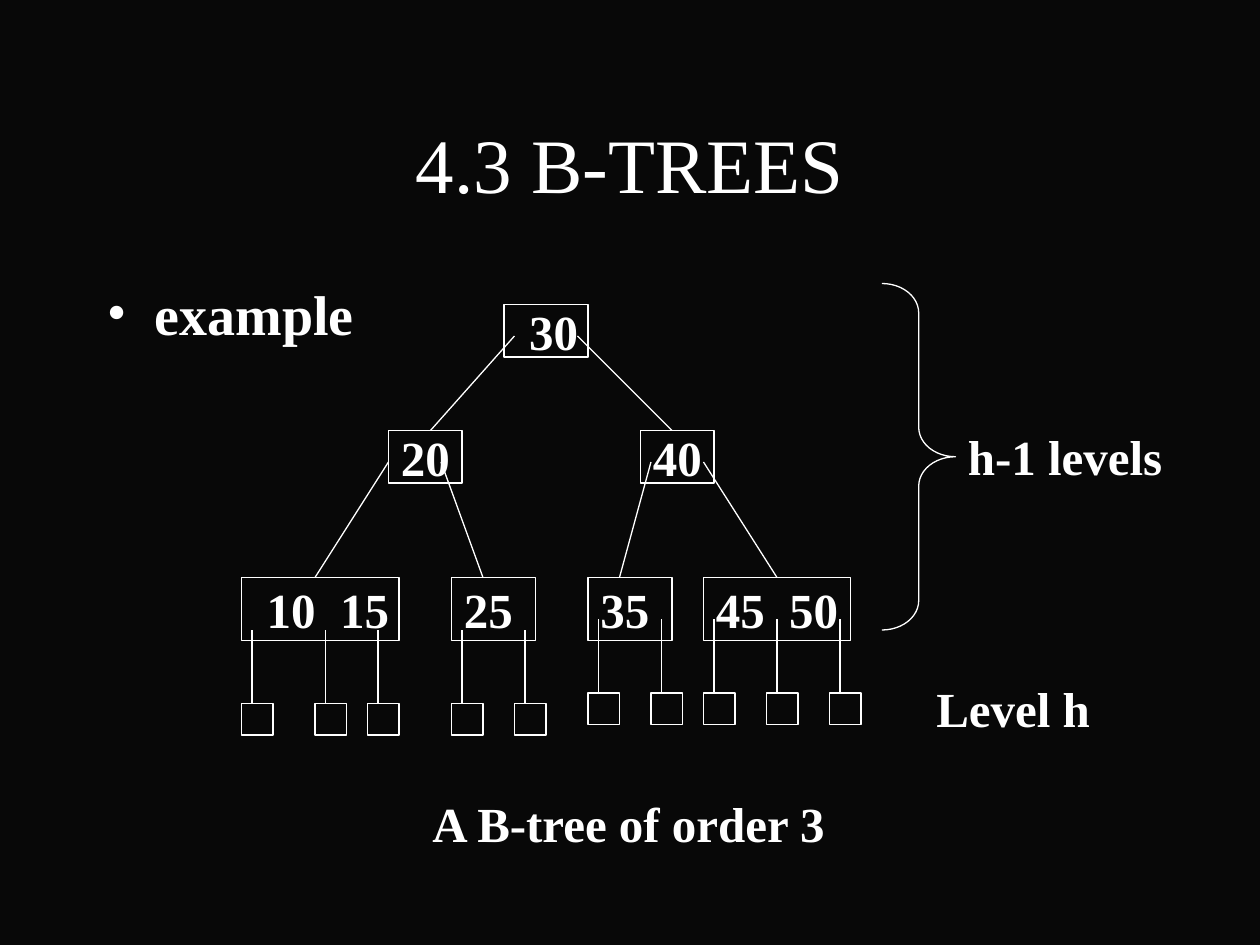
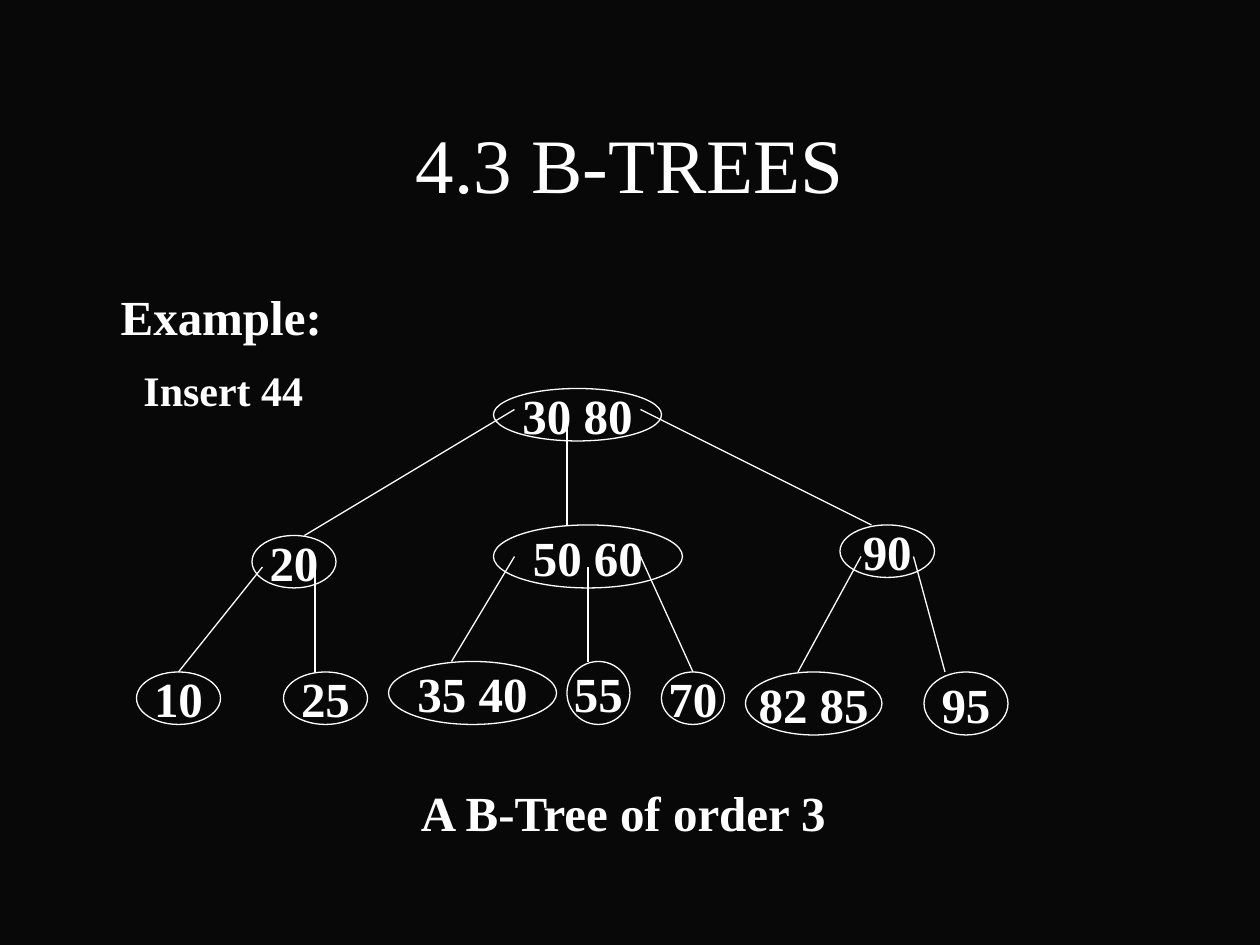
from lxml.etree import SubElement
from pptx import Presentation
from pptx.dml.color import RGBColor
from pptx.enum.shapes import MSO_CONNECTOR, MSO_SHAPE
from pptx.enum.text import MSO_ANCHOR, PP_ALIGN
from pptx.oxml.ns import qn
from pptx.util import Inches, Pt

WHITE = RGBColor.from_string("FFFFFF")
BLACK = RGBColor.from_string("080808")
FONT = "Times New Roman"
LEFT, CENTER = PP_ALIGN.LEFT, PP_ALIGN.CENTER

deck = Presentation()
deck.slide_width, deck.slide_height = Inches(10), Inches(7.5)
CELL = deck.slide_width // 120  # the slide is a grid of 120 columns and 90 rows


def write(box, text, size=28, bold=True, align=LEFT, anchor=MSO_ANCHOR.TOP, wrap=True, key_gap=0):
    """Fill a box with styled text; key_gap widens the first space by that many points."""
    frame = box.text_frame
    frame.text = text
    frame.word_wrap = wrap
    frame.vertical_anchor = anchor
    if key_gap and " " in text:
        para = frame.paragraphs[0]
        para.clear()
        for part in text.partition(" "):
            para.add_run().text = part
        para.runs[1].font._element.set("spc", str(key_gap * 100))
    for para in frame.paragraphs:
        para.alignment = align
        for span in para.runs:
            span.font.name, span.font.size, span.font.bold = FONT, Pt(size), bold
            span.font.color.rgb = WHITE
    return frame


def outline(slide, kind, *cells):
    """Add an unfilled preset shape with a thin white line; cells are left, top, width, height."""
    shape = slide.shapes.add_shape(kind, *[round(cell * CELL) for cell in cells])
    shape.shadow.inherit = False
    shape.fill.background()
    shape.line.color.rgb, shape.line.width = WHITE, Pt(0.75)
    return shape


# Nodes: keys, left, top, width, height. Edges: start column, start row, end column, end row.
order_nodes = [
    ("30", 48, 29, 8, 5), ("20", 37, 41, 7, 5), ("40", 61, 41, 7, 5),
    ("10 15", 23, 55, 15, 6), ("25", 43, 55, 8, 6), ("35", 56, 55, 8, 6), ("45 50", 67, 55, 14, 6),
]
order_edges = [
    (49, 32, 41, 41), (55, 32, 64, 41), (37, 44, 30, 55),
    (42, 44, 46, 55), (62, 44, 59, 55), (67, 44, 74, 55),
]
for leaf_row, leaf_columns in ((67, (23, 30, 35, 43, 49)), (66, (56, 62, 67, 73, 79))):
    for column in leaf_columns:
        order_nodes.append(("", column, leaf_row, 3, 3))
        order_edges.append((column + 1, leaf_row - 7, column + 1, leaf_row))

insert_nodes = [
    ("30 80", 47, 37, 16, 5), ("20", 24, 51, 8, 5), ("50 60", 47, 50, 18, 6), ("90", 80, 50, 9, 5),
    ("10", 13, 64, 8, 5), ("25", 27, 64, 8, 5), ("35 40", 37, 63, 16, 6), ("55", 54, 63, 6, 6),
    ("70", 63, 64, 6, 5), ("82 85", 71, 64, 13, 6), ("95", 88, 64, 8, 6),
]
insert_edges = [
    (49, 39, 29, 51), (54, 40, 54, 50), (61, 39, 83, 50), (25, 54, 17, 64), (30, 54, 30, 64),
    (49, 53, 43, 63), (56, 54, 56, 63), (61, 53, 66, 64), (82, 53, 76, 64), (87, 53, 90, 64),
]

# Labels: text, left, top, width, height.
order_labels = [
    ("h-1 levels", 91, 40, 25, 7), ("Level h", 88, 64, 23, 7), ("A B-tree of order 3", 40, 75, 44, 7),
]
insert_labels = [("A B-Tree of order 3", 38.9, 73.9, 42, 7)]

trees = [
    (MSO_SHAPE.RECTANGLE, order_nodes, order_edges, order_labels, 7, "example", 32),
    (MSO_SHAPE.OVAL, insert_nodes, insert_edges, insert_labels, 0, "Example:\nInsert 44", 28),
]
intros = []
for kind, nodes, edges, labels, key_gap, intro_text, intro_size in trees:
    slide = deck.slides.add_slide(deck.slide_layouts[6])
    slide.background.fill.solid()
    slide.background.fill.fore_color.rgb = BLACK

    title = slide.shapes.add_textbox(9 * CELL, 8 * CELL, 102 * CELL, 15 * CELL)
    write(title, "4.3 B-TREES", 44, False, CENTER, MSO_ANCHOR.MIDDLE)
    intro = slide.shapes.add_textbox(9 * CELL, 26 * CELL, 102 * CELL, 54 * CELL)
    intros.append(write(intro, intro_text, intro_size))

    node_at_top = {}
    for keys, left, top, width, height in nodes:
        node = outline(slide, kind, left, top, width, height)
        node_at_top[left + width / 2, top] = node
        if keys:
            align = LEFT if kind == MSO_SHAPE.RECTANGLE and keys != "45 50" else CENTER
            frame = write(node, keys, align=align, anchor=MSO_ANCHOR.MIDDLE, wrap=False, key_gap=key_gap)
            if align == LEFT and keys in ("30", "10 15"):
                frame.margin_left = Inches(0.2)

    for start_column, start_row, end_column, end_row in edges:
        ends = [cell * CELL for cell in (start_column, start_row, end_column, end_row)]
        edge = slide.shapes.add_connector(MSO_CONNECTOR.STRAIGHT, *ends)
        edge.line.color.rgb, edge.line.width = WHITE, Pt(0.75)
        SubElement(edge._element.spPr, qn("a:effectLst"))
        if (end_column, end_row) in node_at_top:
            edge.end_connect(node_at_top[end_column, end_row], 0)

    for text, *cells in labels:
        label = slide.shapes.add_textbox(*[round(cell * CELL) for cell in cells])
        write(label, text)

order_slide = deck.slides[0]
brace = outline(order_slide, MSO_SHAPE.RIGHT_BRACE, 84, 27, 7, 33)
brace.adjustments[0], brace.adjustments[1] = 0.4, 0.5

bullet_para = intros[0].paragraphs[0]
properties = bullet_para._p.get_or_add_pPr()
properties.set("marL", str(Inches(0.38)))
properties.set("indent", str(-Inches(0.38)))
SubElement(properties, qn("a:buFont"), typeface=FONT)
SubElement(properties, qn("a:buChar"), char="•")

intros[1].margin_top = Inches(0.11)
for para, indent in zip(intros[1].paragraphs, (0.11, 0.29)):
    para._p.get_or_add_pPr().set("marL", str(Inches(indent)))
insert_para = intros[1].paragraphs[1]
insert_para.space_before = Pt(11)
insert_para.runs[0].font.size = Pt(24)

deck.save("out.pptx")
